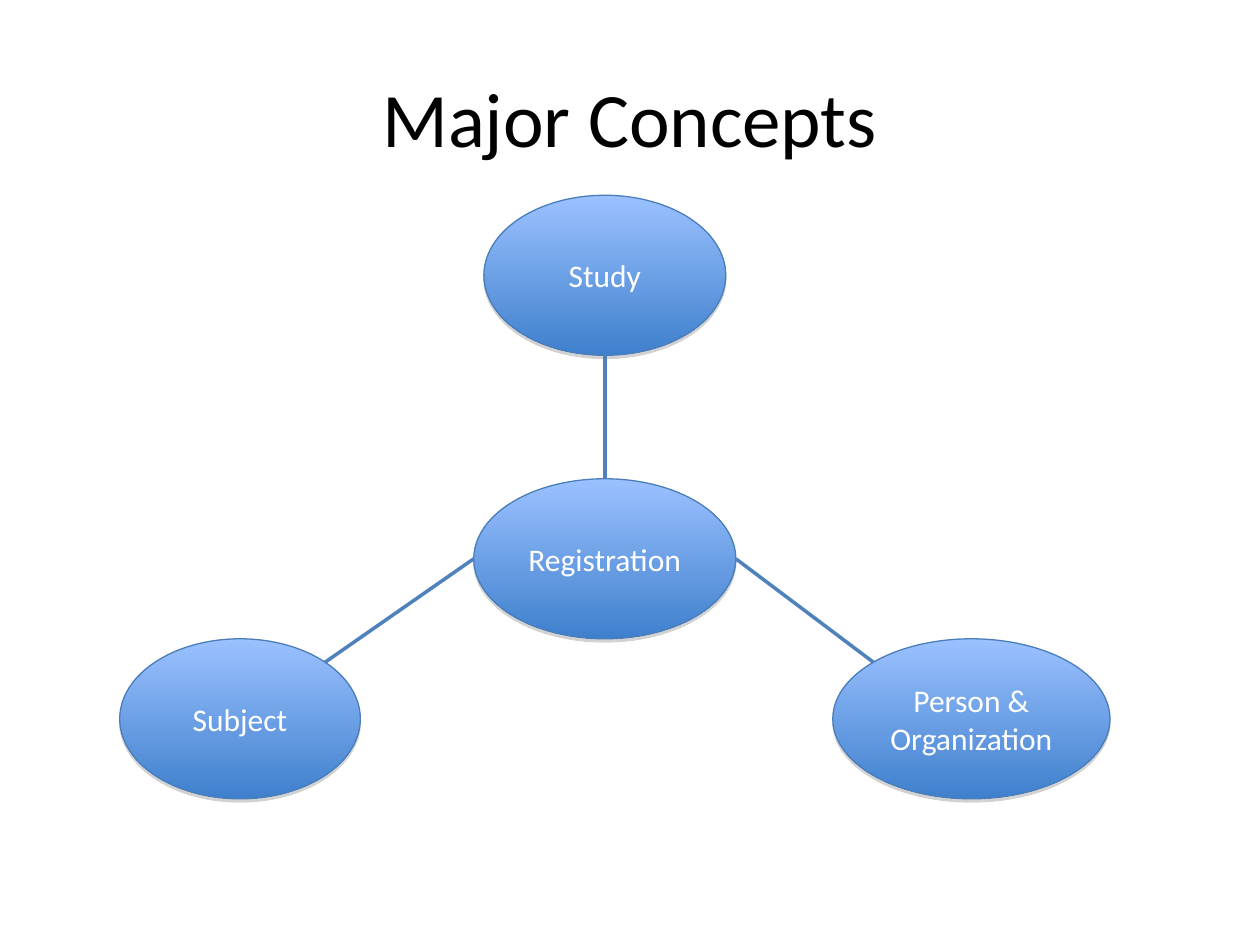
import math

from pptx import Presentation
from pptx.dml.color import RGBColor
from pptx.enum.shapes import MSO_CONNECTOR, MSO_SHAPE
from pptx.enum.text import MSO_ANCHOR, PP_ALIGN
from pptx.oxml import parse_xml
from pptx.oxml.ns import nsdecls, qn
from pptx.util import Inches, Pt

STRAIGHT = MSO_CONNECTOR.STRAIGHT
ELLIPSE = MSO_SHAPE.OVAL
MIDDLE = MSO_ANCHOR.MIDDLE
CENTER = PP_ALIGN.CENTER

FONT = "Calibri"
CONCEPT_HEIGHT = 1.27
TOP_SITE = 0


def color(hex_value):
    return RGBColor.from_string(hex_value)


def write_text(shape, text, *, size, hex_color):
    frame = shape.text_frame
    frame.word_wrap = True
    frame.vertical_anchor = MIDDLE
    paragraph = frame.paragraphs[0]
    paragraph.alignment = CENTER
    run = paragraph.add_run()
    run.text = text
    run.font.name = FONT
    run.font.size = Pt(size)
    run.font.color.rgb = color(hex_color)


def add_title(slide, text):
    title = slide.shapes.add_textbox(Inches(0.5), Inches(0.3), Inches(9), Inches(1.25))
    write_text(title, text, size=44, hex_color="000000")


def add_drop_shadow(shape):
    shape.shadow.inherit = False
    effects = shape._element.spPr.find(qn("a:effectLst"))
    effects.append(parse_xml(
        f'<a:outerShdw {nsdecls("a")} blurRad="0" dist="{Pt(1.8)}" dir="5400000"'
        ' rotWithShape="0"><a:srgbClr val="808080"><a:alpha val="35000"/>'
        '</a:srgbClr></a:outerShdw>'))


def add_concept(slide, text, left, top, width):
    concept = slide.shapes.add_shape(
        ELLIPSE, Inches(left), Inches(top), Inches(width), Inches(CONCEPT_HEIGHT))
    concept.fill.gradient()
    concept.fill.gradient_angle = 270  # light at the top, dark at the bottom
    for stop, hex_color in zip(concept.fill.gradient_stops, ("9BC1FF", "3F80CD")):
        stop.color.rgb = color(hex_color)
    concept.line.color.rgb = color("4A7EBB")
    concept.line.width = Pt(0.75)
    add_drop_shadow(concept)
    write_text(concept, text, size=18, hex_color="FFFFFF")
    return concept


def rim_point(concept, degrees):
    """Point on an ellipse's rim, counted clockwise from its right end."""
    angle = math.radians(degrees)
    x = concept.left + concept.width / 2 * (1 + math.cos(angle))
    y = concept.top + concept.height / 2 * (1 + math.sin(angle))
    return round(x), round(y)


def add_link(slide, start, end):
    link = slide.shapes.add_connector(STRAIGHT, *start, *end)
    link.line.color.rgb = color("4F81BD")
    link.line.width = Pt(2)
    link._element.spPr.append(parse_xml(f'<a:effectLst {nsdecls("a")}/>'))
    return link


def main():
    deck = Presentation()
    deck.slide_width, deck.slide_height = Inches(10), Inches(7.5)
    slide = deck.slides.add_slide(deck.slide_layouts[6])

    add_title(slide, "Major Concepts")

    # Concepts
    subject = add_concept(slide, "Subject", 0.95, 5.07, 1.91)
    person = add_concept(slide, "Person & Organization", 6.61, 5.07, 2.2)
    study = add_concept(slide, "Study", 3.84, 1.55, 1.92)
    registration = add_concept(slide, "Registration", 3.76, 3.8, 2.08)

    # Links to the central concept
    add_link(slide, rim_point(subject, -45), rim_point(registration, 180))
    add_link(slide, rim_point(registration, 0), rim_point(person, -135))
    study_link = add_link(slide, rim_point(registration, -90), rim_point(study, 90))
    study_link.begin_connect(registration, TOP_SITE)

    deck.save("out.pptx")


if __name__ == "__main__":
    main()
